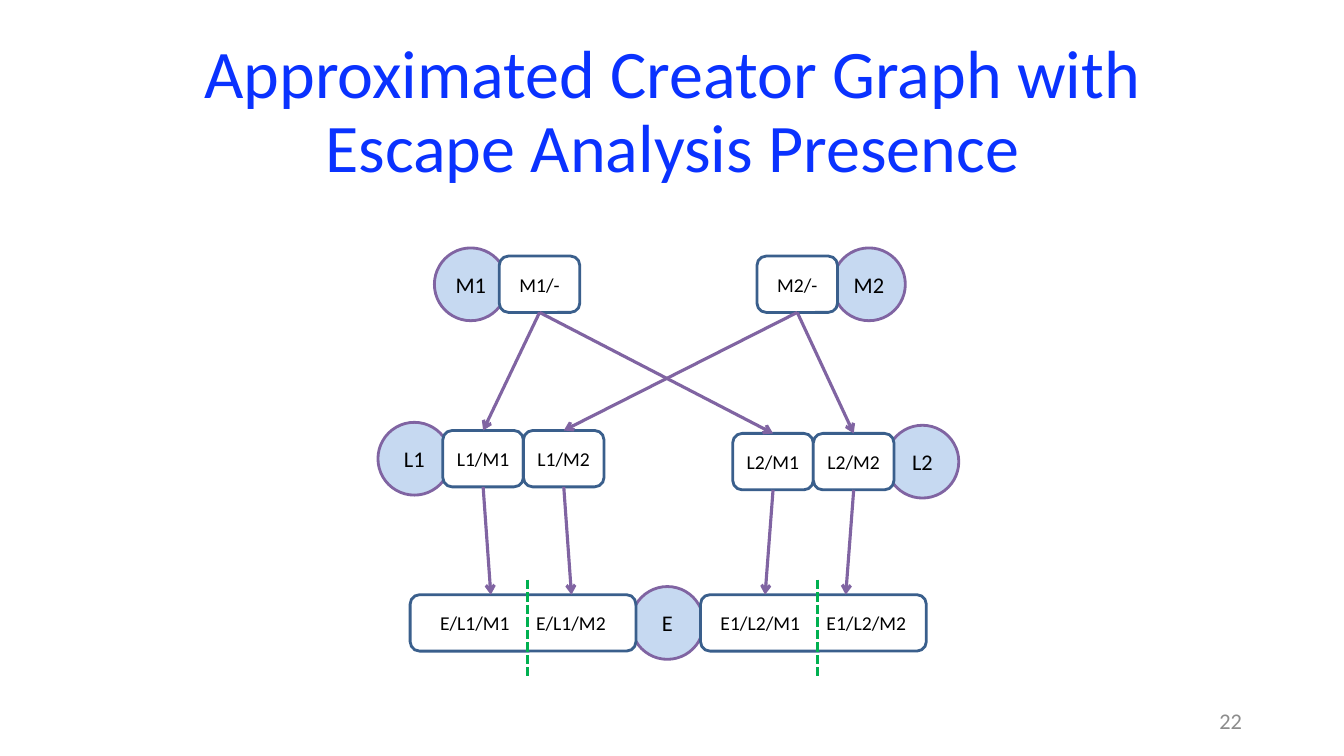
import pptx
import pptx.util
import pptx.dml.color
import pptx.enum.dml
import pptx.enum.shapes
import pptx.enum.text
import pptx.oxml.ns
import lxml.etree

Pt = pptx.util.Pt
ALIGN = pptx.enum.text.PP_ALIGN
SHAPE = pptx.enum.shapes.MSO_SHAPE
COLOURS = {
    "title": "0A32FF", "number": "8C8C8C", "text": "000000",
    "circle": "C6D9F1", "box": "FFFFFF", "box edge": "3A5F8C",
    "creator edge": "8064A2", "divider": "00B050",
}
CIRCLE = 52
BOX_WIDTH = 57.6
BOX_HEIGHT = 40.3
BOX_DROP = 5.8
MEMORY_WIDTH = 161.3


def colour(name):
    return pptx.dml.color.RGBColor.from_string(COLOURS[name])


def write(shape, text, size, ink="text", align=ALIGN.CENTER, **frame_format):
    frame = shape.text_frame
    settings = {"word_wrap": True,
                "vertical_anchor": pptx.enum.text.MSO_ANCHOR.MIDDLE, **frame_format}
    for attribute, value in settings.items():
        setattr(frame, attribute, value)
    paragraph = frame.paragraphs[0]
    paragraph.alignment = align
    run = paragraph.add_run()
    run.text = text
    for attribute, value in {"name": "Calibri", "size": Pt(size)}.items():
        setattr(run.font, attribute, value)
    run.font.color.rgb = colour(ink)
    return paragraph


def heading(slide, left, top, width, height, text, size, ink, align):
    area = slide.shapes.add_textbox(Pt(left), Pt(top), Pt(width), Pt(height))
    return write(area, text, size, ink, align)


def node(slide, kind, left, top, width, height, fill, edge, text, size,
         align=ALIGN.CENTER, inset=0):
    shape = slide.shapes.add_shape(kind, Pt(left), Pt(top), Pt(width), Pt(height))
    shape.shadow.inherit = False
    shape.fill.solid()
    shape.fill.fore_color.rgb = colour(fill)
    shape.line.color.rgb = colour(edge)
    shape.line.width = Pt(2)
    paragraph = write(shape, text, size, align=align, margin_left=Pt(inset),
                      margin_right=0, margin_top=0, margin_bottom=0)
    return shape, paragraph


def circle(slide, left, top, name):
    node(slide, SHAPE.OVAL, left, top, CIRCLE, CIRCLE,
         "circle", "creator edge", name, 16)


def creator(slide, left, top, name, contexts, circle_first, overlap=5.7):
    boxes_left = left + CIRCLE - overlap if circle_first else left
    circle_left = left if circle_first else left + BOX_WIDTH * len(contexts) - overlap
    circle(slide, circle_left, top, name)
    return [node(slide, SHAPE.ROUNDED_RECTANGLE, boxes_left + i * BOX_WIDTH,
                 top + BOX_DROP, BOX_WIDTH, BOX_HEIGHT, "box", "box edge",
                 context, 14)[0]
            for i, context in enumerate(contexts)]


def link(slide, x1, y1, x2, y2, ink):
    line = slide.shapes.add_connector(
        pptx.enum.shapes.MSO_CONNECTOR.STRAIGHT, Pt(x1), Pt(y1), Pt(x2), Pt(y2))
    line.line.color.rgb = colour(ink)
    line.line.width = Pt(2.25)
    lxml.etree.SubElement(line.element.spPr, pptx.oxml.ns.qn("a:effectLst"))
    return line


def arrow(slide, source, target=None, end=(0, 0)):
    line = link(slide, 0, 0, *end, "creator edge")
    line.begin_connect(source, 2)
    if target is not None:
        line.end_connect(target, 0)
    outline = line.element.spPr.find(pptx.oxml.ns.qn("a:ln"))
    lxml.etree.SubElement(outline, pptx.oxml.ns.qn("a:tailEnd"), type="arrow")


def memory(slide, left, top, contexts, inset, sources, first_arrow):
    second_text = 90
    _, paragraph = node(slide, SHAPE.ROUNDED_RECTANGLE, left, top, MEMORY_WIDTH,
                        BOX_HEIGHT, "box", "box edge", "\t".join(contexts), 14,
                        ALIGN.LEFT, inset)
    properties = paragraph._p.get_or_add_pPr()
    tabs = lxml.etree.SubElement(properties, pptx.oxml.ns.qn("a:tabLst"))
    lxml.etree.SubElement(tabs, pptx.oxml.ns.qn("a:tab"),
                          pos=str(Pt(second_text - 2 - inset)), algn="l")
    for i, source in enumerate(sources):
        arrow(slide, source, end=(left + first_arrow + i * BOX_WIDTH, top))
    middle = left + 83.5
    divider = link(slide, middle, top - 10.8, middle, top + 58.3, "divider")
    divider.line.dash_style = pptx.enum.dml.MSO_LINE.SQUARE_DOT


def creator_graph(slide, left, top):
    m1, = creator(slide, left + 40.3, top, "M1", ["M1/-"], True)
    m2, = creator(slide, left + 270.7, top, "M2", ["M2/-"], False, 3.6)
    l1 = creator(slide, left, top + 124.6, "L1", ["L1/M1", "L1/M2"], True)
    l2 = creator(slide, left + 253.4, top + 126.7, "L2", ["L2/M1", "L2/M2"], False)
    for source, targets in ((m1, (l1[0], l2[0])), (m2, (l1[1], l2[1]))):
        for target in targets:
            arrow(slide, source, target)
    escape_top = top + 241.9
    circle(slide, left + 180.7, escape_top, "E")
    memory(slide, left + 230.4, escape_top + BOX_DROP,
           ["E1/L2/M1", "E1/L2/M2"], 12.3, l2, 46.1)
    memory(slide, left + 23, escape_top + BOX_DROP,
           ["E/L1/M1", "E/L1/M2"], 19.4, l1, 57.6)


def main():
    deck = pptx.Presentation()
    deck.slide_width, deck.slide_height = Pt(960), Pt(540)
    slide = deck.slides.add_slide(deck.slide_layouts[6])
    heading(slide, 678.2, 500.4, 216, 28.8, "22", 16, "number", ALIGN.RIGHT)
    title = heading(slide, 66.2, 28.8, 828, 104.4,
                    "Approximated Creator Graph with Escape Analysis Presence",
                    48.6, "title", ALIGN.CENTER)
    title.line_spacing = 0.9
    creator_graph(slide, 270, 177.1)
    deck.save("out.pptx")


if __name__ == "__main__":
    main()
